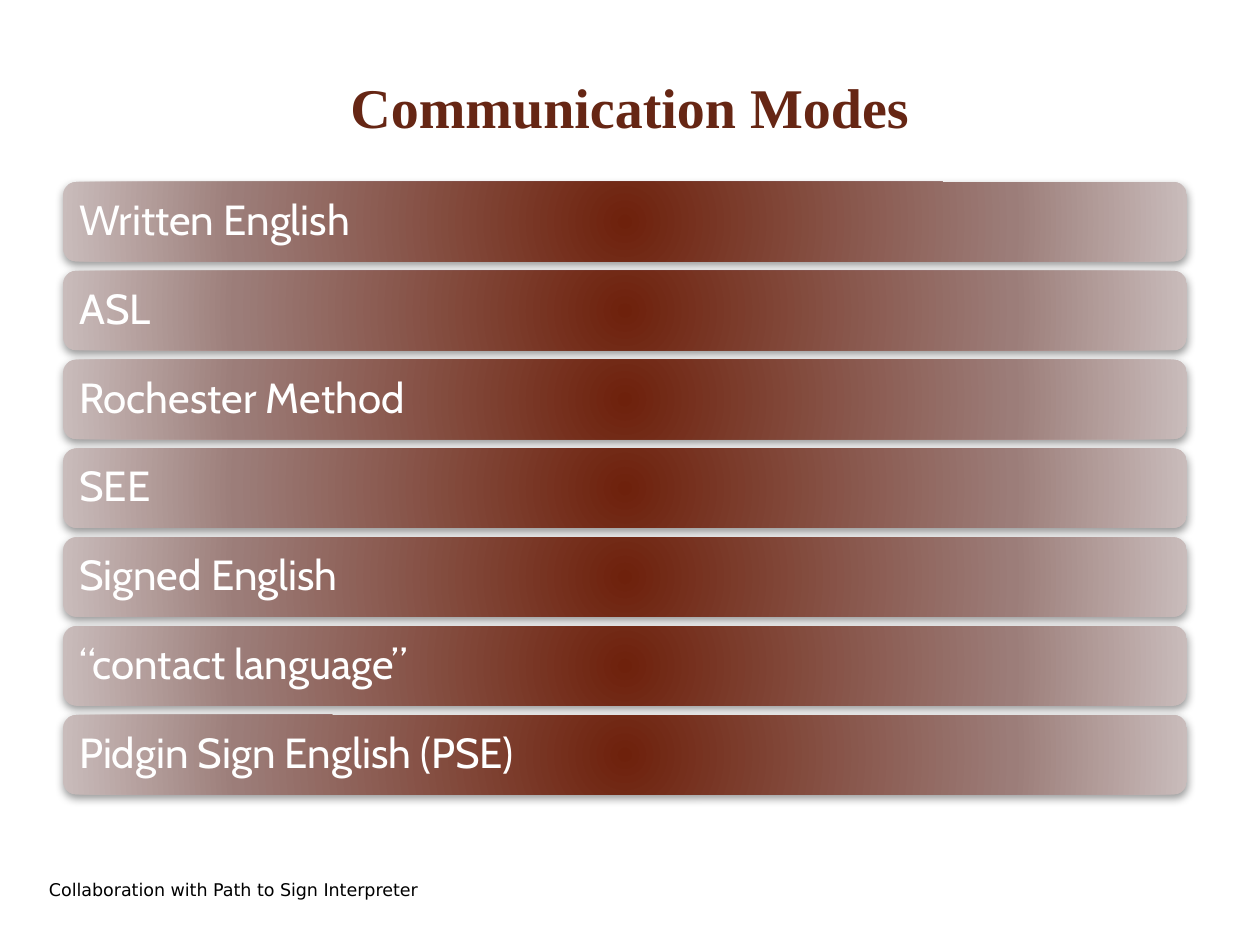
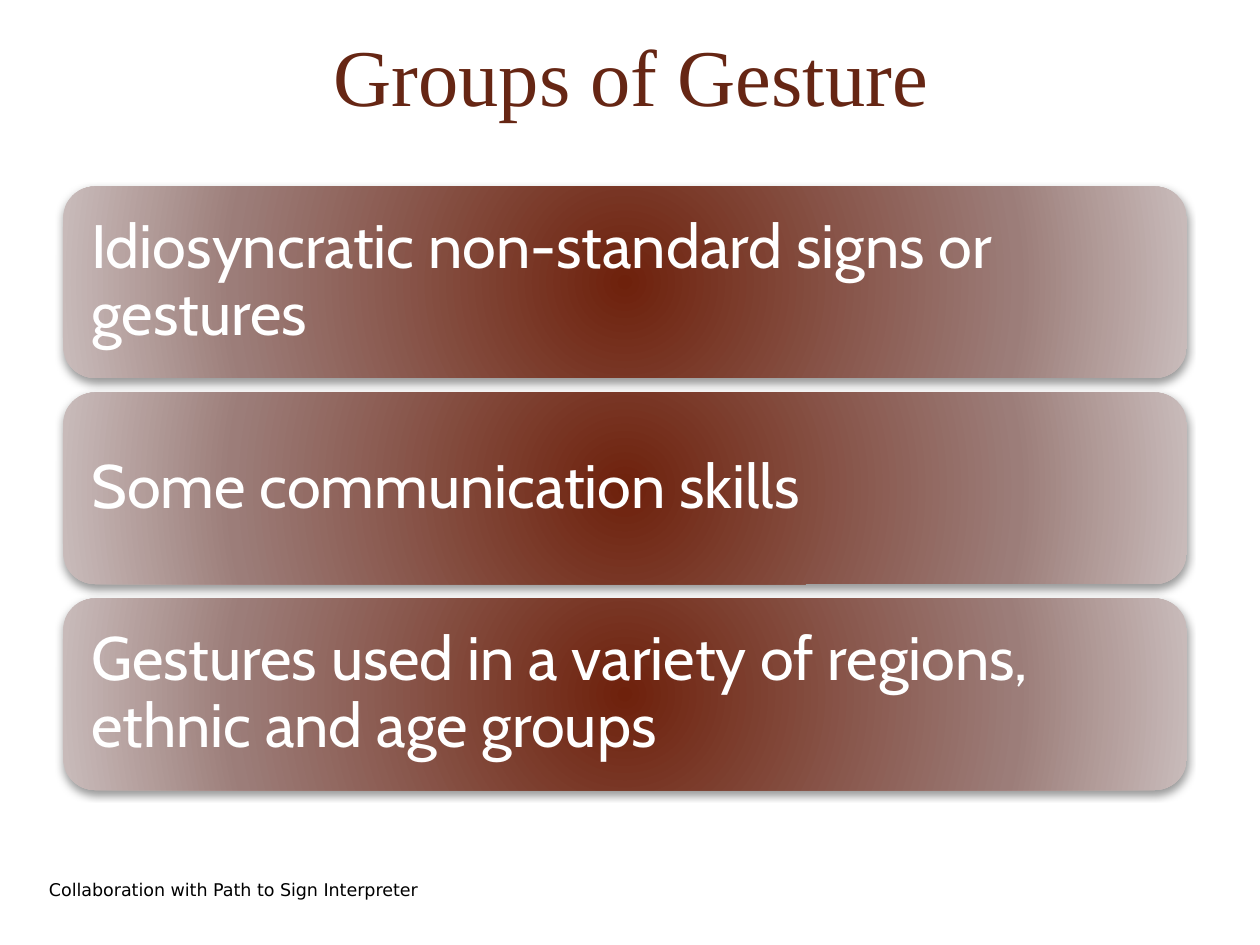
from dataclasses import dataclass

import pptx
import pptx.dml.color
import pptx.enum.shapes
import pptx.enum.text
import pptx.oxml
import pptx.oxml.ns
import pptx.slide
import pptx.text.text
import pptx.util

PX_PER_INCH = 200
EMU_PER_PX = 914400 // PX_PER_INCH

TITLE_COLOR = pptx.dml.color.RGBColor(0x66, 0x26, 0x14)
FOOTER_COLOR = pptx.dml.color.RGBColor(0x00, 0x00, 0x00)
BAR_TEXT_COLOR = pptx.dml.color.RGBColor(0xFF, 0xFF, 0xFF)
SHADOW_COLOR = pptx.dml.color.RGBColor(0x00, 0x00, 0x00)
BAR_STOPS = (
    (0, pptx.dml.color.RGBColor(0x6E, 0x21, 0x0C)),
    (69, pptx.dml.color.RGBColor(0x9C, 0x7D, 0x79)),
    (100, pptx.dml.color.RGBColor(0xC9, 0xBC, 0xBB)),
)

ANCHOR = pptx.enum.text.MSO_ANCHOR
ALIGN = pptx.enum.text.PP_ALIGN
NSDECL = pptx.oxml.ns.nsdecls("a")


@dataclass(frozen=True)
class Box:
    left: int
    top: int
    width: int
    height: int

    def emu(self) -> tuple[int, int, int, int]:
        return px(self.left), px(self.top), px(self.width), px(self.height)


@dataclass(frozen=True)
class TextStyle:
    font: str
    size: int
    color: pptx.dml.color.RGBColor
    bold: bool = False
    align: ALIGN = ALIGN.LEFT
    anchor: ANCHOR = ANCHOR.MIDDLE
    line_spacing: float = 1.0


@dataclass(frozen=True)
class BarList:
    items: tuple[str, ...]
    top: int
    height: int
    pitch: int
    inset: int
    size: int


@dataclass(frozen=True)
class Page:
    title: str
    title_box: Box
    title_size: int
    title_bold: bool
    bars: BarList


BAR_LEFT, BAR_WIDTH = 100, 1784
FOOTER = "Collaboration with Path to Sign Interpreter"
FOOTER_BOX = Box(58, 1372, 1058, 80)
FOOTER_STYLE = TextStyle("DejaVu Sans", 10, FOOTER_COLOR)

PAGES = (
    Page(
        "Communication Modes", Box(100, 66, 1800, 166), 32, True,
        BarList(
            ("Written English", "ASL", "Rochester Method", "SEE", "Signed English",
             "“contact language”", "Pidgin Sign English (PSE)"),
            top=289, height=126, pitch=141, inset=20, size=24,
        ),
    ),
    Page(
        "Groups of Gesture", Box(84, 36, 1834, 168), 46, False,
        BarList(
            ("Idiosyncratic non-standard signs or gestures",
             "Some communication skills",
             "Gestures used in a variety of regions, ethnic and age groups"),
            top=296, height=304, pitch=327, inset=30, size=35,
        ),
    ),
)


def px(length: int) -> int:
    return pptx.util.Emu(length * EMU_PER_PX)


def write(tf: pptx.text.text.TextFrame, text: str, style: TextStyle) -> None:
    tf.text = text
    tf.word_wrap = True
    tf.vertical_anchor = style.anchor
    p = tf.paragraphs[0]
    p.alignment = style.align
    p.line_spacing = style.line_spacing
    r = p.runs[0]
    r.font.name = style.font
    r.font.size = pptx.util.Pt(style.size)
    r.font.bold = style.bold
    r.font.color.rgb = style.color


def add_text(s: pptx.slide.Slide, text: str, box: Box, style: TextStyle) -> None:
    write(s.shapes.add_textbox(*box.emu()).text_frame, text, style)


def add_bar(s: pptx.slide.Slide, text: str, box: Box, inset: int, style: TextStyle) -> None:
    sp = s.shapes.add_shape(pptx.enum.shapes.MSO_SHAPE.ROUNDED_RECTANGLE, *box.emu())
    sp.line.fill.background()
    sp.shadow.inherit = False
    stops = "".join(
        f'<a:gs pos="{pos * 1000}"><a:srgbClr val="{color}"/></a:gs>' for pos, color in BAR_STOPS
    )
    gradient = pptx.oxml.parse_xml(
        f'<a:gradFill {NSDECL} rotWithShape="1"><a:gsLst>{stops}</a:gsLst><a:path path="circle">'
        '<a:fillToRect l="100000" t="100000" r="100000" b="100000"/></a:path></a:gradFill>'
    )
    shadow = pptx.oxml.parse_xml(
        f'<a:outerShdw {NSDECL} blurRad="{pptx.util.Pt(5)}" dist="{pptx.util.Pt(2)}" '
        f'dir="5400000" rotWithShape="0"><a:srgbClr val="{SHADOW_COLOR}">'
        '<a:alpha val="40000"/></a:srgbClr></a:outerShdw>'
    )
    props = sp._element.spPr
    props.find(pptx.oxml.ns.qn("a:prstGeom")).addnext(gradient)
    props.find(pptx.oxml.ns.qn("a:effectLst")).append(shadow)
    tf = sp.text_frame
    tf.margin_left = tf.margin_top = tf.margin_right = tf.margin_bottom = px(inset)
    write(tf, text, style)


def add_bars(s: pptx.slide.Slide, bars: BarList) -> None:
    style = TextStyle("Cabin", bars.size, BAR_TEXT_COLOR, line_spacing=0.9)
    for i, item in enumerate(bars.items):
        box = Box(BAR_LEFT, bars.top + i * bars.pitch, BAR_WIDTH, bars.height)
        add_bar(s, item, box, bars.inset, style)


def add_page(prs: pptx.presentation.Presentation, page: Page) -> None:
    s = prs.slides.add_slide(prs.slide_layouts[6])
    add_text(s, FOOTER, FOOTER_BOX, FOOTER_STYLE)
    title_style = TextStyle(
        "Times New Roman", page.title_size, TITLE_COLOR, page.title_bold,
        ALIGN.CENTER, ANCHOR.BOTTOM,
    )
    add_text(s, page.title, page.title_box, title_style)
    add_bars(s, page.bars)


def main() -> None:
    prs = pptx.Presentation()
    prs.slide_width = px(10 * PX_PER_INCH)
    prs.slide_height = px(1500)
    for page in PAGES:
        add_page(prs, page)
    prs.save("out.pptx")


if __name__ == "__main__":
    main()
